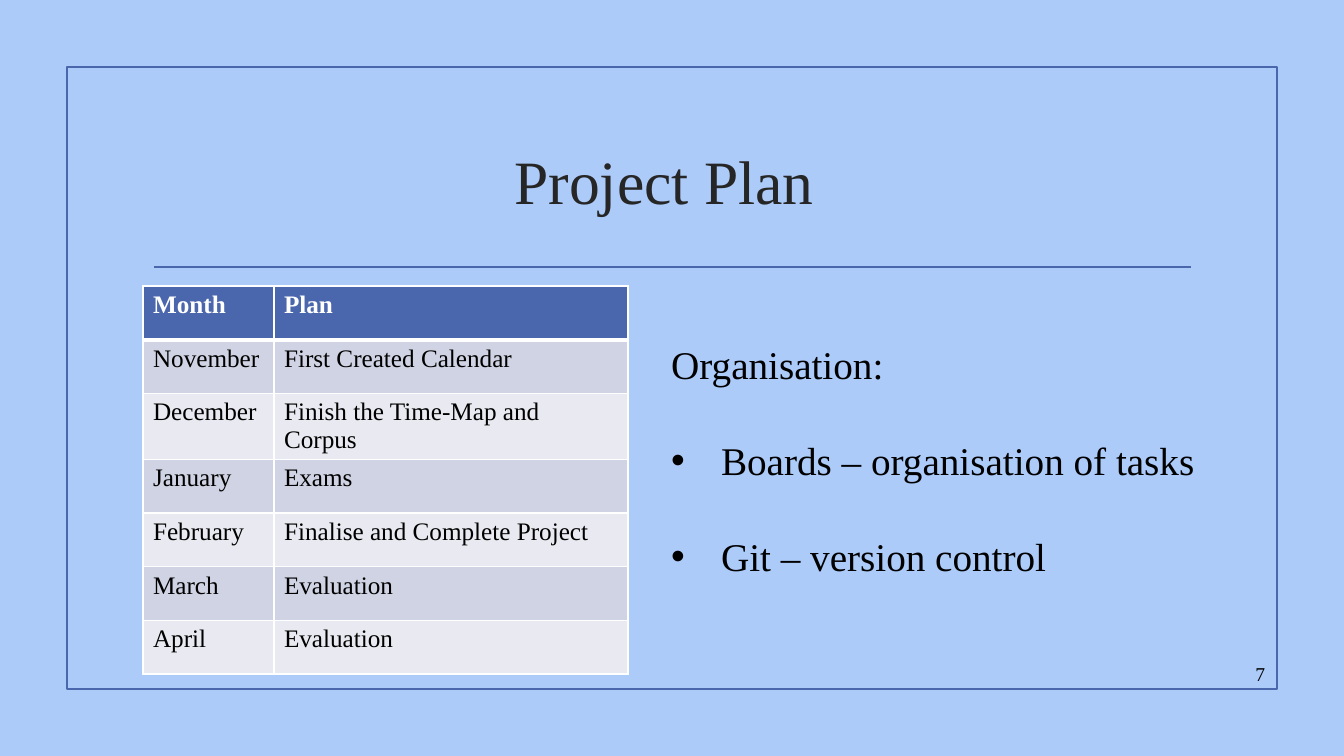
from lxml.etree import SubElement
from pptx import Presentation
from pptx.dml.color import RGBColor
from pptx.enum.shapes import MSO_CONNECTOR as CONN, MSO_SHAPE as SHAPE
from pptx.enum.text import MSO_ANCHOR as ANCHOR, MSO_AUTO_SIZE as AUTO, PP_ALIGN as ALIGN
from pptx.oxml.ns import qn
from pptx.util import Emu, Pt

FONT = "Times New Roman"
BLUE, WHITE, BLACK = "4A66AC", "FFFFFF", "000000"
BANDS = ("D0D3E3", "E9EAF1")

PLAN = [
    ("Month", "Plan"),
    ("November", "First Created Calendar"),
    ("December", "Finish the Time-Map and Corpus"),
    ("January", "Exams"),
    ("February", "Finalise and Complete Project"),
    ("March", "Evaluation"),
    ("April", "Evaluation"),
]
TOOLS = ["Boards – organisation of tasks", "Git – version control"]


def px(n):
    return Emu(round(n * 914400 / 100.8))


def color(hex_code):
    return RGBColor.from_string(hex_code)


def place(sp, left, top, width, height):
    sp.left, sp.top, sp.width, sp.height = map(px, (left, top, width, height))


def add_run(p, text, size, hex_code=BLACK, bold=False):
    r = p.add_run()
    r.text = text
    r.font.name, r.font.size, r.font.bold = FONT, Pt(size), bold
    r.font.color.rgb = color(hex_code)


def style_line(line):
    line.color.rgb = color(BLUE)
    line.width = Pt(1.25)


def add_frame(s):
    sp = s.shapes.add_shape(SHAPE.RECTANGLE, px(67), px(67), px(1210), px(622))
    sp.shadow.inherit = False
    sp.fill.background()
    style_line(sp.line)


def add_rule(s):
    cx = s.shapes.add_connector(CONN.STRAIGHT, px(154), px(267), px(1191), px(267))
    style_line(cx.line)
    SubElement(cx._element.spPr, qn("a:effectLst"))


def set_title(s, text):
    sp = s.shapes.title
    place(sp, 143, 108, 1058, 144)
    tf = sp.text_frame
    tf.vertical_anchor = ANCHOR.MIDDLE
    p = tf.paragraphs[0]
    p.alignment = ALIGN.CENTER
    add_run(p, text, 44, "262626")


def set_borders(cell, top, bottom):
    tcPr = cell._tc.get_or_add_tcPr()
    for tag, width in (("lnL", 1), ("lnR", 1), ("lnT", top), ("lnB", bottom)):
        ln = SubElement(tcPr, qn(f"a:{tag}"), w=str(Pt(width)))
        fill = SubElement(ln, qn("a:solidFill"))
        SubElement(fill, qn("a:srgbClr"), val=WHITE)


def add_plan_table(s, rows):
    frame = s.shapes.add_table(len(rows), 2, px(143), px(286), px(485), px(376))
    table = frame.table
    for column, width in zip(table.columns, (131, 354)):
        column.width = px(width)
    for i, texts in enumerate(rows):
        header = i == 0
        for j, text in enumerate(texts):
            cell = table.cell(i, j)
            set_borders(cell, top=3 if i == 1 else 1, bottom=3 if header else 1)
            cell.fill.solid()
            cell.fill.fore_color.rgb = color(BLUE if header else BANDS[(i - 1) % 2])
            p = cell.text_frame.paragraphs[0]
            add_run(p, text, 18, WHITE if header else BLACK, header)


def set_bullet(p, char=None):
    pPr = p._p.get_or_add_pPr()
    indent = px(50) if char else 0
    pPr.set("marL", str(indent))
    pPr.set("indent", str(-indent))
    if char:
        SubElement(pPr, qn("a:buFont"), typeface="Arial")
        SubElement(pPr, qn("a:buChar"), char=char)
    else:
        SubElement(pPr, qn("a:buNone"))


def set_list(s, heading, items):
    sp = s.placeholders[1]
    place(sp, 661, 335, 554, 248)
    tf = sp.text_frame
    tf.auto_size = AUTO.NONE
    p = tf.paragraphs[0]
    p.space_before = Pt(0)
    set_bullet(p)
    add_run(p, heading, 28)
    for item in items:
        p = tf.add_paragraph()
        p.space_before = Pt(35)
        set_bullet(p, "•")
        add_run(p, item, 28)


def add_page_number(s, number):
    sp = s.shapes.add_textbox(px(1216), px(658), px(59), px(31))
    tf = sp.text_frame
    tf.word_wrap = True
    tf.vertical_anchor = ANCHOR.MIDDLE
    p = tf.paragraphs[0]
    p.alignment = ALIGN.RIGHT
    add_run(p, number, 14)


def main():
    prs = Presentation()
    prs.slide_width, prs.slide_height = px(1344), px(756)
    s = prs.slides.add_slide(prs.slide_layouts[1])
    s.background.fill.solid()
    s.background.fill.fore_color.rgb = color("ACCBF9")

    # Frame and heading
    add_frame(s)
    add_rule(s)
    set_title(s, "Project Plan ")

    # Schedule and tools
    add_plan_table(s, PLAN)
    set_list(s, "Organisation:", TOOLS)
    add_page_number(s, "7")

    prs.save("out.pptx")


if __name__ == "__main__":
    main()
